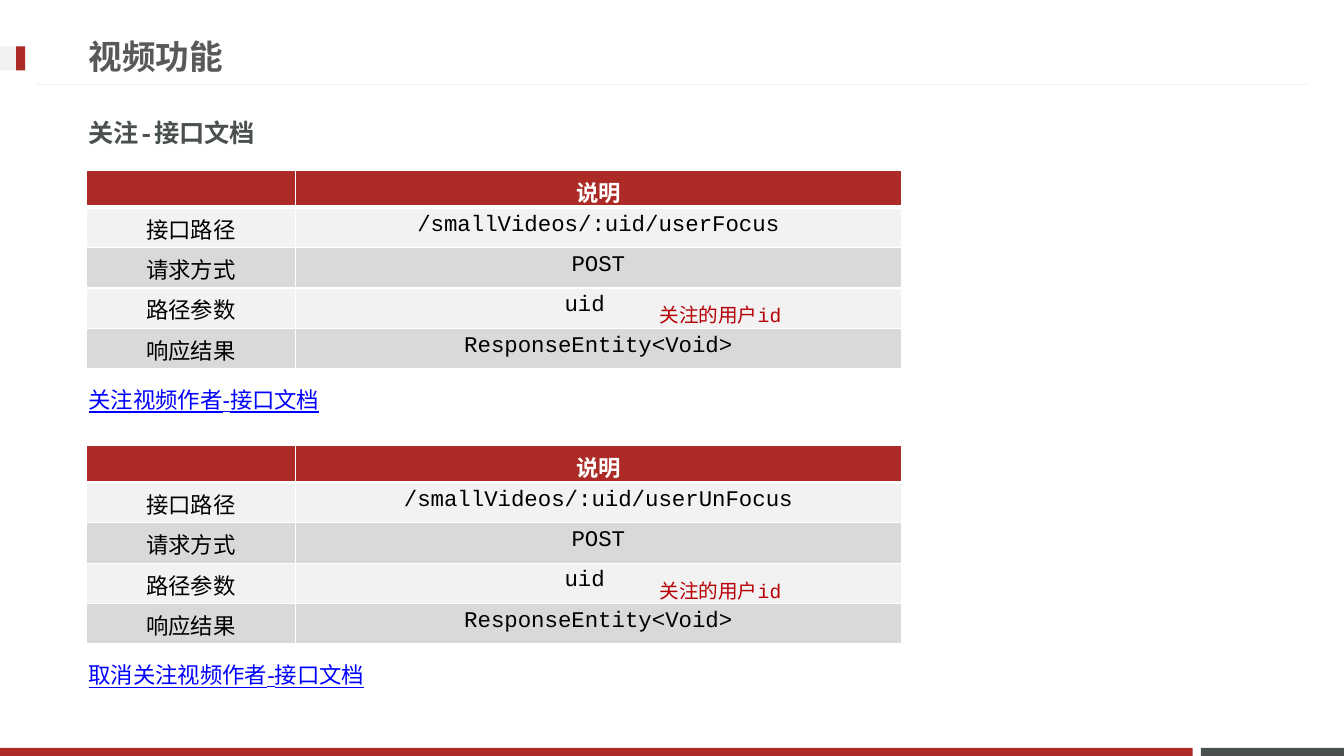
"""Build the slide that documents the follow and unfollow interfaces."""
from typing import NamedTuple

from lxml.etree import SubElement as Sub
from pptx import Presentation
from pptx.dml.color import RGBColor as Color
from pptx.enum.shapes import MSO_CONNECTOR as Link, MSO_SHAPE as Kind
from pptx.enum.text import MSO_ANCHOR as Anchor, PP_ALIGN as Align
from pptx.oxml.ns import qn
from pptx.util import Inches, Pt

HUES = {"red": "AD2B26", "slate": "49504F", "pale": "F2F2F2", "band": "D9D9D9",
        "title": "595959", "note": "B70006", "link": "0000FF",
        "white": "FFFFFF", "black": "000000"}
MONO, SANS = "Courier New", "Arial"
LEFT, WIDE, DEEP = 0.78, 13.33, 7.5
COLS = (2.07, 6.01)
HEAD, ROW = 0.36, 0.4


class Bar(NamedTuple):
    left: float
    top: float
    width: float
    height: float
    hue: str


class Call(NamedTuple):
    top: float
    route: str
    label: str


BARS = (Bar(11.91, 7.42, 1.42, 0.08, "slate"),
        Bar(0, 7.42, 11.83, 0.08, "red"),
        Bar(0, 0.46, 0.25, 0.24, "pale"),
        Bar(0.16, 0.46, 0.09, 0.24, "red"))
CALLS = (Call(1.69, "/smallVideos/:uid/userFocus", "关注视频作者-接口文档"),
         Call(4.42, "/smallVideos/:uid/userUnFocus", "取消关注视频作者-接口文档"))


def tint(name: str) -> Color:
    return Color.from_string(HUES[name])


def write(frame, text: str, *, size: float, hue: str, face: str = MONO,
          bold: bool = False, line: bool = False, align=Align.LEFT,
          lead: float = 1.0) -> None:
    para = frame.paragraphs[0]
    para.alignment = align
    para.line_spacing = lead
    para.font.size = Pt(size)
    if not text:
        return
    run = para.add_run()
    run.text = text
    font = run.font
    font.size, font.name, font.bold = Pt(size), face, bold
    font.underline = line
    font.color.rgb = tint(hue)


def add_text(slide, left: float, top: float, width: float, height: float,
             text: str, anchor=Anchor.MIDDLE, **style) -> None:
    box = slide.shapes.add_textbox(*map(Inches, (left, top, width, height)))
    frame = box.text_frame
    frame.word_wrap = True
    frame.vertical_anchor = anchor
    write(frame, text, **style)


def add_bar(slide, bar: Bar) -> None:
    shape = slide.shapes.add_shape(Kind.RECTANGLE, *map(Inches, bar[:4]))
    shape.shadow.inherit = False
    shape.fill.solid()
    shape.fill.fore_color.rgb = tint(bar.hue)
    shape.line.fill.background()


def add_rule(slide) -> None:
    rule = slide.shapes.add_connector(
        Link.STRAIGHT, *map(Inches, (12.98, 0.84, 0.35, 0.84)))
    rule.line.color.rgb = tint("pale")
    rule.line.width = Pt(0.75)
    Sub(rule._element.spPr, qn("a:effectLst"))


def edge(cell, sides: dict[str, float]) -> None:
    props = cell._tc.get_or_add_tcPr()
    for spot, (side, width) in enumerate(sides.items()):
        line = props.makeelement(qn(f"a:ln{side}"), {"w": str(Pt(width))})
        fill = Sub(line, qn("a:solidFill"))
        Sub(fill, qn("a:srgbClr"), val=HUES["white"])
        props.insert(spot, line)


def add_grid(slide, call: Call) -> None:
    rows = (("", "说明"), ("接口路径", call.route), ("请求方式", "POST"),
            ("路径参数", "uid"), ("响应结果", "ResponseEntity<Void>"))
    high = HEAD + ROW * (len(rows) - 1)
    spot = map(Inches, (0.86, call.top, sum(COLS), high))
    grid = slide.shapes.add_table(len(rows), len(COLS), *spot).table
    for col, width in zip(grid.columns, COLS):
        col.width = Inches(width)
    for r, texts in enumerate(rows):
        first = r == 0
        grid.rows[r].height = Inches(HEAD if first else ROW)
        fill = "red" if first else "pale" if r % 2 else "band"
        for c, text in enumerate(texts):
            cell = grid.cell(r, c)
            cell.fill.solid()
            cell.fill.fore_color.rgb = tint(fill)
            edge(cell, {"L": 1, "R": 1, "T": 3 if r == 1 else 1,
                        "B": 3 if first else 1})
            if text == "uid":
                cell.margin_right = Inches(0.37)
            write(cell.text_frame, text, size=16, bold=first,
                  hue="white" if first else "black", align=Align.CENTER)


def add_call(slide, call: Call) -> None:
    add_grid(slide, call)
    add_text(slide, 6.36, call.top + 1.21, 1.57, 0.45, "关注的用户id",
             size=14, hue="note", align=Align.CENTER)
    add_text(slide, LEFT, call.top + 1.96, 7.43, 0.41, call.label,
             anchor=Anchor.TOP, size=16, hue="link", face=SANS, line=True,
             lead=1.5)


def main() -> None:
    deck = Presentation()
    deck.slide_width, deck.slide_height = Inches(WIDE), Inches(DEEP)
    slide = deck.slides.add_slide(deck.slide_layouts[6])
    for bar in BARS:
        add_bar(slide, bar)
    add_rule(slide)
    add_text(slide, LEFT, 0.27, 9.59, 0.57, "视频功能",
             size=24, hue="title", bold=True)
    add_text(slide, LEFT, 1.03, 11.76, 0.57, "关注-接口文档",
             size=18, hue="slate", bold=True)
    for call in CALLS:
        add_call(slide, call)
    deck.save("out.pptx")


if __name__ == "__main__":
    main()
